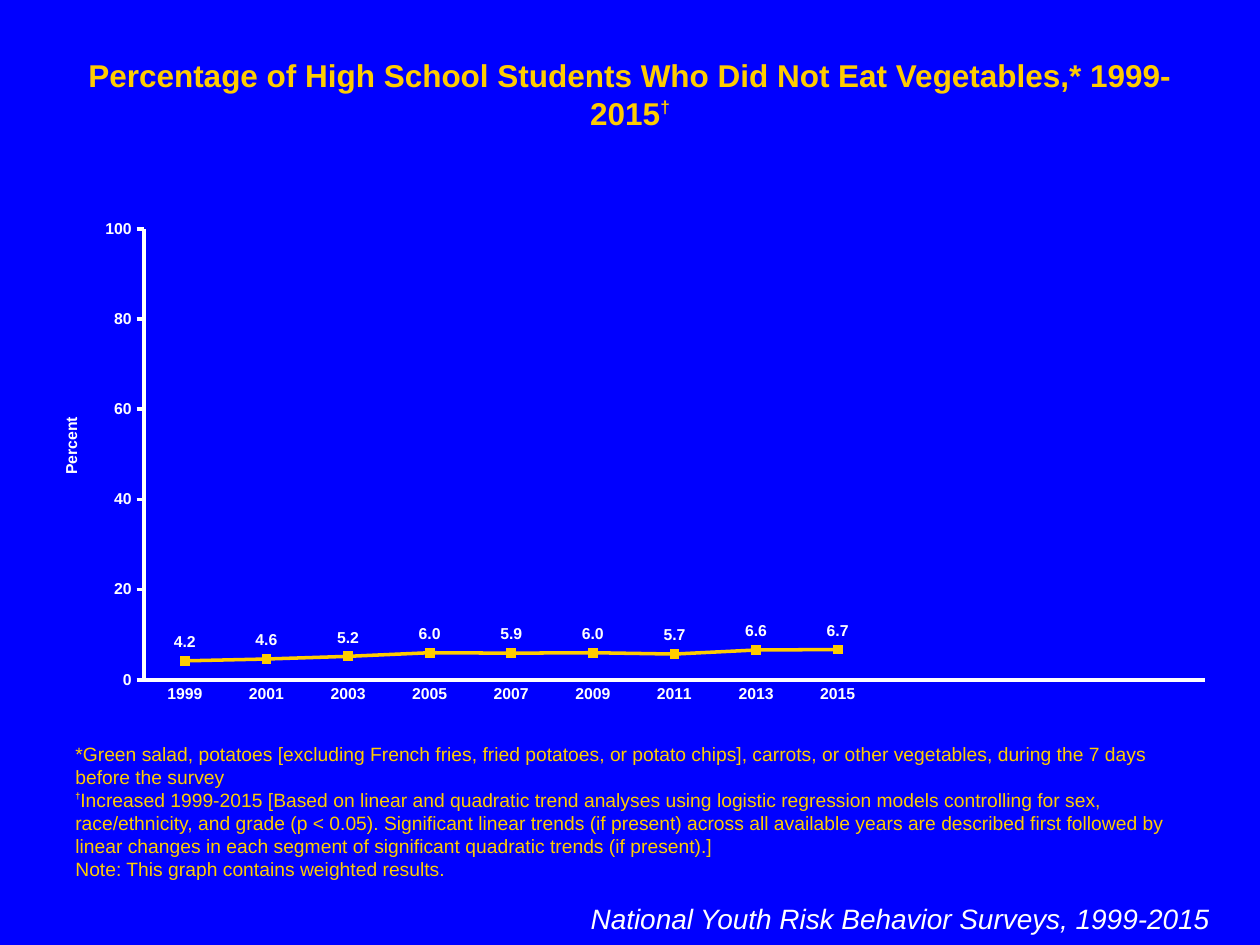
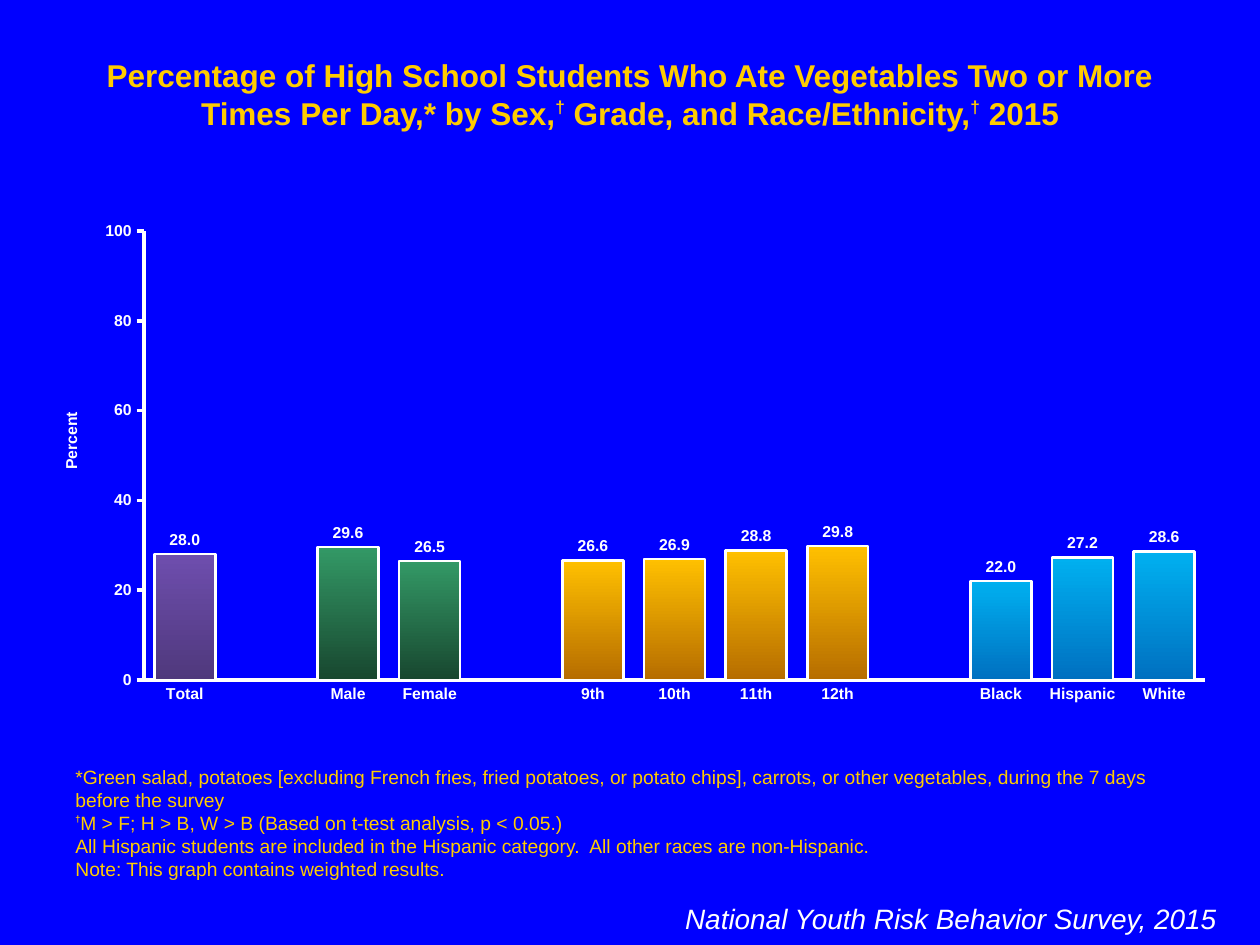
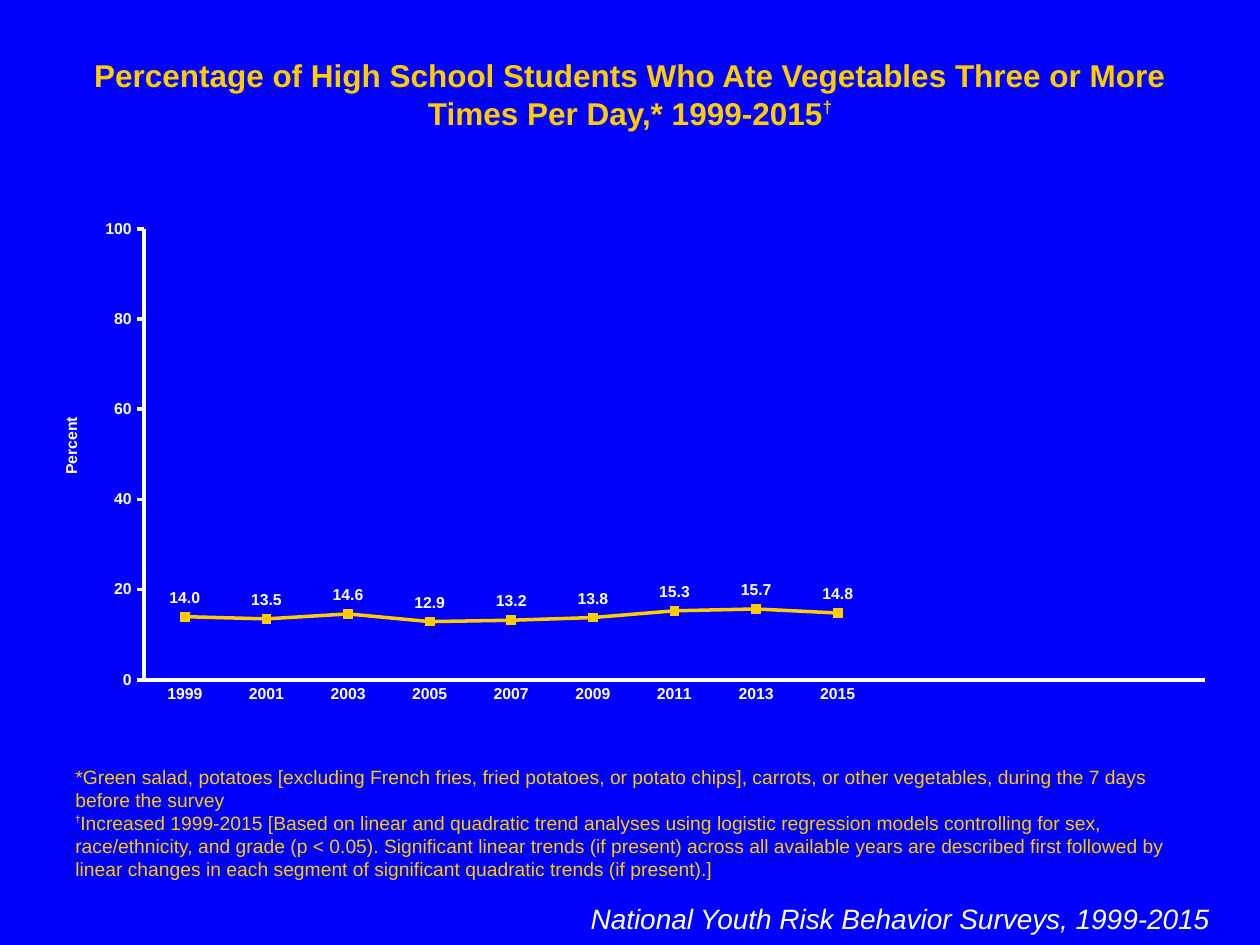
import pptx
import pptx.util
import pptx.dml.color
import pptx.chart.data
import pptx.enum.chart
import pptx.enum.text
from lxml import etree

SCALE = 914400 / 126
GOLD, WHITE, BLUE = "FFCC00", "FFFFFF", "0000FF"
C_NS = "{http://schemas.openxmlformats.org/drawingml/2006/chart}"
YEARS = [str(year) for year in range(1999, 2016, 2)] + [""] * 4
GROUPS = ["Total", "", "Male", "Female", "", "9th", "10th", "11th", "12th",
          "", "Black", "Hispanic", "White"]
# Bar gradients, top to bottom, and the bars that use them
SHADES = {("6E4EAE", "4F387C"): [0], ("339966", "18472F"): [2, 3],
          ("FFC000", "B66D00"): [5, 6, 7, 8], ("00B0F0", "0070C0"): [10, 11, 12]}

VEGGIES = ("*Green salad, potatoes [excluding French fries, fried potatoes, or potato "
           "chips], carrots, or other vegetables, during the 7 days before the survey")
TREND = ("†Increased 1999-2015 [Based on linear and quadratic trend analyses using "
         "logistic regression models controlling for sex, race/ethnicity, and grade "
         "(p < 0.05). Significant linear trends (if present) across all available years "
         "are described first followed by linear changes in each segment of significant "
         "quadratic trends (if present).]")
WEIGHTED = "Note: This graph contains weighted results."
SURVEYS = "National Youth Risk Behavior Surveys, 1999-2015"

Align = pptx.enum.text.PP_ALIGN
Anchor = pptx.enum.text.MSO_ANCHOR
Tick = pptx.enum.chart.XL_TICK_MARK
Kind = pptx.enum.chart.XL_CHART_TYPE
Spot = pptx.enum.chart.XL_LABEL_POSITION


def px(*sizes):
    return [pptx.util.Emu(round(size * SCALE)) for size in sizes]


def hue(code):
    return pptx.dml.color.RGBColor.from_string(code)


def put(thing, **values):
    for name, value in values.items():
        setattr(thing, name, value)


class Deck:
    def __init__(self):
        self.show = pptx.Presentation()
        put(self.show, **dict(zip(("slide_width", "slide_height"), px(1260, 945))))
        back = self.show.slide_master.background.fill
        back.solid()
        back.fore_color.rgb = hue(BLUE)
        self.slide = None

    # Shared formats
    def font(self, font, size, color=WHITE, **more):
        put(font, name="Arial", size=pptx.util.Pt(size), **more)
        font.color.rgb = hue(color)

    def line(self, line, width, color=WHITE):
        line.color.rgb = hue(color)
        line.width = pptx.util.Pt(width)

    def place(self, node, spot, values):
        """Give a chart part a manual layout, as shares of the chart."""
        for old in node.findall(C_NS + "layout"):
            node.remove(old)
        layout = etree.Element(C_NS + "layout")
        node.insert(spot, layout)
        manual = etree.SubElement(layout, C_NS + "manualLayout")
        for tag, value in values.items():
            etree.SubElement(manual, C_NS + tag).set("val", str(value))

    # Text
    def words(self, shape, lines, size, color=GOLD, align=Align.LEFT,
              anchor=Anchor.TOP, mark=None, **more):
        """Fill a shape; mark is size and rise of each raised dagger."""
        frame = shape.text_frame
        put(frame, word_wrap=True, vertical_anchor=anchor,
            auto_size=pptx.enum.text.MSO_AUTO_SIZE.SHAPE_TO_FIT_TEXT)
        for index, text in enumerate(lines):
            para = frame.add_paragraph() if index else frame.paragraphs[0]
            para.alignment = align
            for part in text.replace("†", "|†|").split("|"):
                if not part:
                    continue
                run = para.add_run()
                run.text = part
                if part == "†":
                    self.font(run.font, mark[0], color, bold=True)
                    run._r.get_or_add_rPr().set("baseline", str(mark[1] * 1000))
                else:
                    self.font(run.font, size, color, **more)

    def box(self, area, lines, size, **more):
        self.words(self.slide.shapes.add_textbox(*px(*area)), lines, size, **more)

    def page(self, title, notes, source, area):
        self.slide = self.show.slides.add_slide(self.show.slide_layouts[5])
        head = self.slide.shapes.title
        put(head, **dict(zip(("left", "top", "width", "height"), px(63, 50, 1134, 50))))
        self.words(head, [title], 18, align=Align.CENTER, mark=(17, 40), bold=True)
        self.box((63, 850, 1134, 37), notes, 11, anchor=Anchor.BOTTOM, mark=(9, 50))
        self.box(area, [source], 16, color=WHITE, align=Align.RIGHT, italic=True)

    # Charts
    def chart(self, kind, area, plot, title_top, cats, values, spot):
        data = pptx.chart.data.CategoryChartData()
        data.categories = cats
        data.add_series("Series 1", values + [None] * (len(cats) - len(values)))
        chart = self.slide.shapes.add_chart(kind, *px(*area), data).chart
        put(chart, has_legend=False, has_title=False)
        self.font(chart.font, 18)
        left, top, wide, high = area

        # Axes
        cat, val = chart.category_axis, chart.value_axis
        for axis, tick in ((cat, Tick.NONE), (val, Tick.OUTSIDE)):
            put(axis, has_major_gridlines=False, major_tick_mark=tick,
                minor_tick_mark=Tick.NONE)
            self.font(axis.tick_labels.font, 9, bold=True)
            self.line(axis.format.line, 2)
        put(val, minimum_scale=0, maximum_scale=100, major_unit=20)
        put(val.tick_labels, number_format="#,##0", number_format_is_linked=False)
        title = val.axis_title
        title.text_frame.text = "Percent"
        self.font(title.text_frame.paragraphs[0].runs[0].font, 9, bold=True)
        self.place(title._element, 1, {
            "xMode": "edge", "yMode": "edge",
            "x": (58 - left) / wide, "y": (title_top - top) / high})
        self.place(chart._chartSpace.chart.plotArea, 0, {
            "layoutTarget": "inner", "xMode": "edge", "yMode": "edge",
            "x": (plot[0] - left) / wide, "y": (plot[1] - top) / high,
            "w": plot[2] / wide, "h": plot[3] / high})

        # Value labels
        body = chart.plots[0]
        put(body, vary_by_categories=False, has_data_labels=True)
        put(body.data_labels, show_value=True, position=spot,
            number_format="#,##0.0", number_format_is_linked=False)
        self.font(body.data_labels.font, 9, bold=True)
        return body

    def trend(self, values):
        body = self.chart(Kind.LINE_MARKERS, (32, 210, 1197, 504), (144, 229, 1061, 451),
                          414, YEARS, values, Spot.ABOVE)
        row = body.series[0]
        row.smooth = False
        self.line(row.format.line, 2, GOLD)
        put(row.marker, style=pptx.enum.chart.XL_MARKER_STYLE.SQUARE, size=5)
        fill = row.marker.format.fill
        fill.solid()
        fill.fore_color.rgb = hue(GOLD)
        self.line(row.marker.format.line, 0.75, GOLD)

    def bars(self, values):
        body = self.chart(Kind.COLUMN_CLUSTERED, (32, 213, 1197, 501),
                          (144, 231, 1061, 449), 409, GROUPS, values, Spot.OUTSIDE_END)
        put(body, gap_width=34, overlap=100)
        row = body.series[0]
        row.invert_if_negative = False
        self.line(row.format.line, 1.5)
        for shades, spots in SHADES.items():
            for spot in spots:
                look = row.points[spot].format
                look.fill.gradient()
                look.fill.gradient_angle = 270
                for stop, shade in zip(look.fill.gradient_stops, shades):
                    stop.color.rgb = hue(shade)
                self.line(look.line, 1.5)


def main():
    deck = Deck()
    wide_foot = (571, 895, 651, 47)

    # No vegetables, by year
    deck.page("Percentage of High School Students Who Did Not Eat Vegetables,* 1999-2015†",
              [VEGGIES, TREND, WEIGHTED], SURVEYS, wide_foot)
    deck.trend([4.2, 4.6, 5.2, 6, 5.9, 6, 5.7, 6.6, 6.7])

    # Twice a day, by group
    deck.page("Percentage of High School Students Who Ate Vegetables Two or More Times "
              "Per Day,* by Sex,† Grade, and Race/Ethnicity,† 2015",
              [VEGGIES, "†M > F; H > B, W > B (Based on t-test analysis, p < 0.05.)",
               "All Hispanic students are included in the Hispanic category.  "
               "All other races are non-Hispanic.", WEIGHTED],
              "National Youth Risk Behavior Survey, 2015", (536, 895, 693, 47))
    deck.bars([28, None, 29.6, 26.5, None, 26.6, 26.9, 28.8, 29.8, None, 22, 27.2, 28.6])

    # Three times a day, by year
    deck.page("Percentage of High School Students Who Ate Vegetables Three or More Times "
              "Per Day,* 1999-2015†", [VEGGIES, TREND], SURVEYS, wide_foot)
    deck.trend([14, 13.5, 14.6, 12.9, 13.2, 13.8, 15.3, 15.7, 14.8])

    deck.show.save("out.pptx")


if __name__ == "__main__":
    main()
